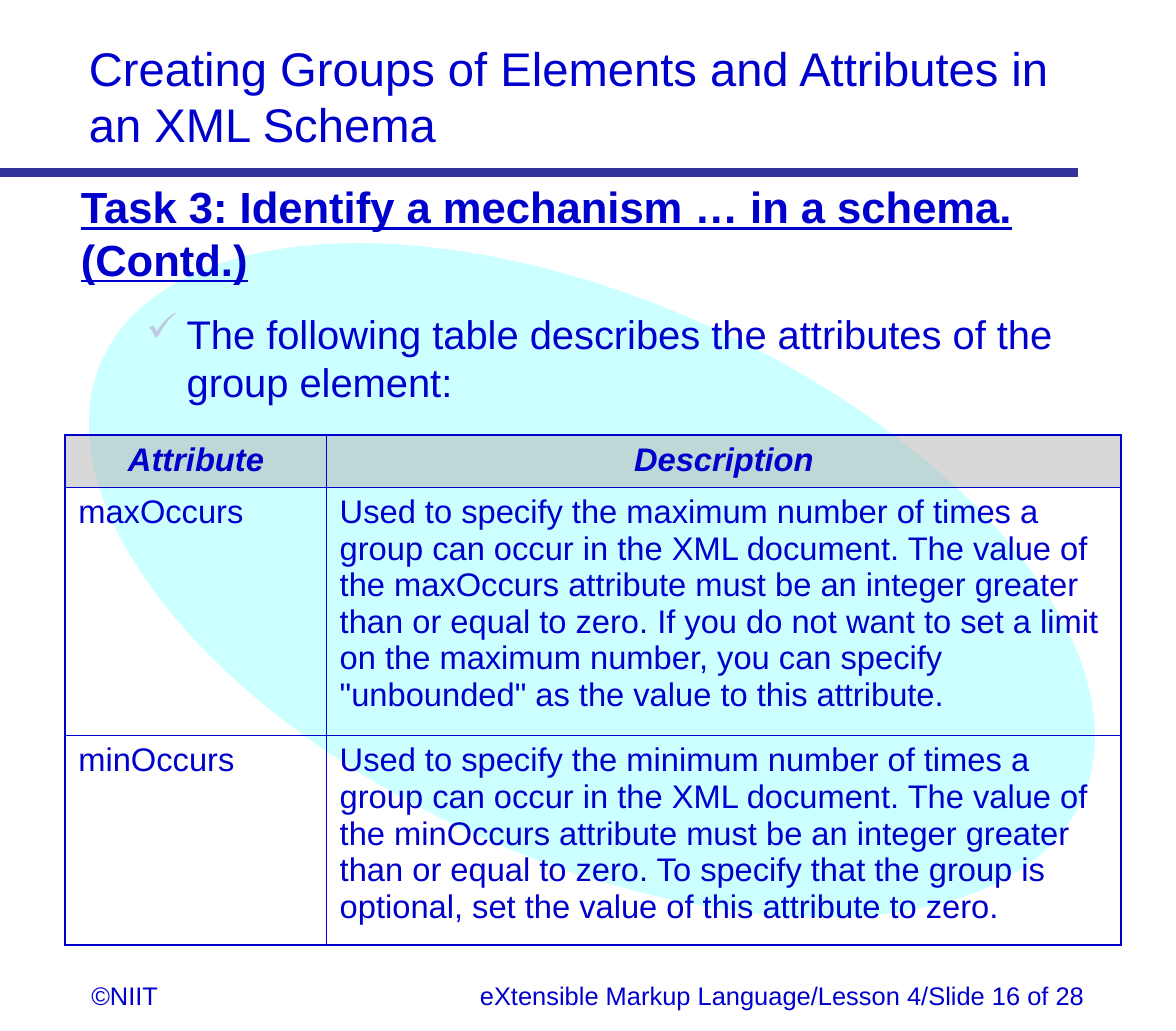
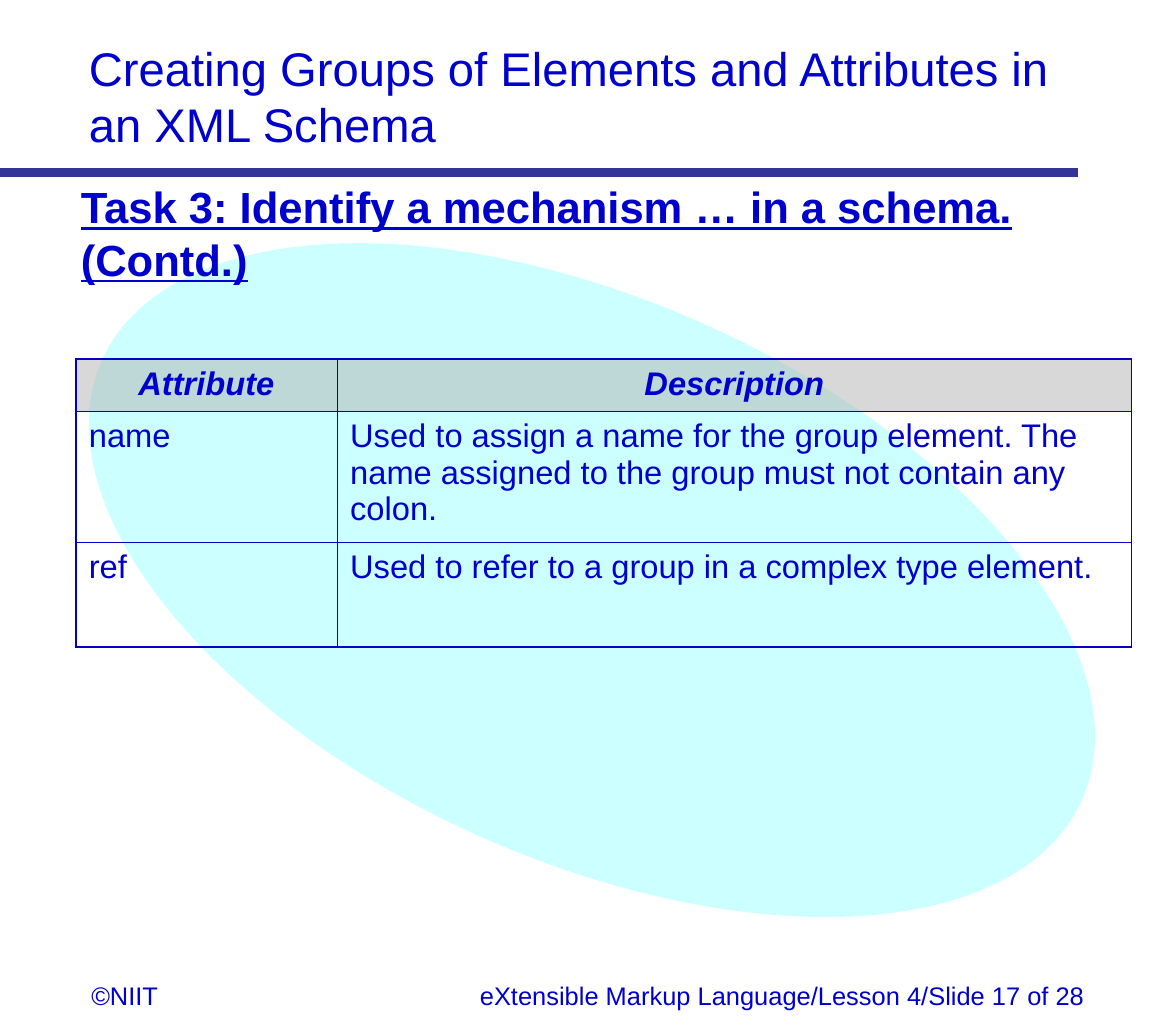
from dataclasses import dataclass

from lxml import etree
from pptx import Presentation
from pptx.dml.color import RGBColor
from pptx.enum.shapes import MSO_CONNECTOR, MSO_SHAPE
from pptx.enum.text import MSO_ANCHOR, MSO_AUTO_SIZE, PP_ALIGN
from pptx.oxml.ns import qn
from pptx.util import Inches, Pt

LEFT, MID, RIGHT = PP_ALIGN.LEFT, PP_ALIGN.CENTER, PP_ALIGN.RIGHT
TOP, FIXED = MSO_ANCHOR.TOP, MSO_AUTO_SIZE.NONE
OVAL, LINE = MSO_SHAPE.OVAL, MSO_CONNECTOR.STRAIGHT


@dataclass(frozen=True)
class Theme:
    font: str = "Arial"
    ink: str = "0000CC"
    rule: str = "333399"
    oval: str = "CCFFFF"
    head: str = "B2B2B2"
    tick: str = "BFCBE2"
    title: int = 26
    task: int = 24
    point: int = 22
    cell: int = 18
    foot: int = 14
    thick: float = 1.08
    thin: float = 0.45


T = Theme()


def grid(*units):
    """Turn grid units, ten to the inch, into lengths."""
    return [Inches(unit / 10) for unit in units]


def write(frame, text, size, align=LEFT, bold=False, italic=False,
          under=False, before=0, indent=None, bullet=None):
    """Put text in the frame's first paragraph, or add one if that is used."""
    para = frame.paragraphs[0]
    if para.runs:
        para = frame.add_paragraph()
    frame.word_wrap = True
    para.alignment = align
    para.space_before = Pt(before)
    props = para._p.get_or_add_pPr()
    if indent:
        left, first = grid(*indent)
        props.set("marL", str(left))
        props.set("indent", str(first))
    if bullet:
        color = etree.SubElement(props, qn("a:buClr"))
        etree.SubElement(color, qn("a:srgbClr"), val=T.tick)
        etree.SubElement(props, qn("a:buChar"), char=bullet)
    run = para.add_run()
    run.text = text
    font = run.font
    font.name, font.size = T.font, Pt(size)
    font.bold, font.italic, font.underline = bold, italic, under
    font.color.rgb = RGBColor.from_string(T.ink)


PAGES = [
    dict(number=16, at=(5, 33.3), rows=(4, 19, 16),
         point="The following table describes the attributes of the group element:",
         items=[
             ("maxOccurs",
              "Used to specify the maximum number of times a group can occur in "
              "the XML document. The value of the maxOccurs attribute must be an "
              "integer greater than or equal to zero. If you do not want to set a "
              "limit on the maximum number, you can specify \"unbounded\" as the "
              "value to this attribute."),
             ("minOccurs",
              "Used to specify the minimum number of times a group can occur in "
              "the XML document. The value of the minOccurs attribute must be an "
              "integer greater than or equal to zero. To specify that the group is "
              "optional, set the value of this attribute to zero."),
         ]),
    dict(number=17, at=(5.8, 27.5), rows=(4, 10, 8), point=None,
         items=[
             ("name",
              "Used to assign a name for the group element. The name assigned to "
              "the group must not contain any colon."),
             ("ref", "Used to refer to a group in a complex type element."),
         ]),
]
COLS = (20, 60.8)

deck = Presentation()
deck.slide_width, deck.slide_height = grid(90, 78.9)

for page in PAGES:
    slide = deck.slides.add_slide(deck.slide_layouts[5])
    shapes = slide.shapes

    # Shared backdrop, title, rule and footers
    oval = shapes.add_shape(OVAL, *grid(23.9, 3.3, 42.8, 82.2))
    oval.rotation = 294.2
    oval.shadow.inherit = False
    oval.fill.solid()
    oval.fill.fore_color.rgb = RGBColor.from_string(T.oval)
    oval.line.fill.background()

    title = shapes.title
    title.left, title.top, title.width, title.height = grid(5.8, 2.5, 78, 9.7)
    title.text_frame.auto_size = FIXED
    title.text_frame.vertical_anchor = TOP
    write(title.text_frame,
          "Creating Groups of Elements and Attributes in an XML Schema", T.title)

    footers = [
        ("©NIIT", (6, 74.5, 11.2, 3.4), LEFT),
        (f"eXtensible Markup Language/Lesson 4/Slide {page['number']} of 28",
         (31.5, 74.5, 52.5, 3.4), RIGHT),
    ]
    for text, box, align in footers:
        foot = shapes.add_textbox(*grid(*box))
        write(foot.text_frame, text, T.foot, align=align)

    rule = shapes.add_connector(LINE, *grid(0, 13.2, 82.5, 13.2))
    rule.line.color.rgb = RGBColor.from_string(T.rule)
    rule.line.width = Pt(5)
    etree.SubElement(rule._element.spPr, qn("a:effectLst"))

    # Task heading and lead-in
    body = shapes.add_textbox(*grid(5.2, 13.3, 79.5, 56.1)).text_frame
    for text in ("Task 3: Identify a mechanism … in a schema.", "(Contd.)"):
        write(body, text, T.task, bold=True, under=True, indent=(3.8, -3.8))
    if page["point"]:
        write(body, page["point"], T.point, before=13.8,
              indent=(8.1, -3.1), bullet="✓")

    # Attribute table
    rows = [("Attribute", "Description")] + page["items"]
    spot = grid(*page["at"], sum(COLS), sum(page["rows"]))
    table = shapes.add_table(len(rows), len(COLS), *spot).table
    table.horz_banding = table.first_row = False
    for col, width in zip(table.columns, grid(*COLS)):
        col.width = width
    for row, height in zip(table.rows, grid(*page["rows"])):
        row.height = height
    for r, row in enumerate(rows):
        for c, text in enumerate(row):
            cell = table.cell(r, c)
            cell.margin_left = cell.margin_right = Inches(0.1)
            head = r == 0
            write(cell.text_frame, text, T.cell, align=MID if head else LEFT,
                  bold=head, italic=head)
            props = cell._tc.get_or_add_tcPr()
            outer = {"L": c == 0, "R": c == len(COLS) - 1,
                     "T": head, "B": r == len(rows) - 1}
            for side, edge in outer.items():
                width = Pt(T.thick if edge else T.thin)
                line = etree.SubElement(props, qn(f"a:ln{side}"), w=str(width))
                fill = etree.SubElement(line, qn("a:solidFill"))
                etree.SubElement(fill, qn("a:srgbClr"), val=T.ink)
            if head:
                cell.fill.solid()
                cell.fill.fore_color.rgb = RGBColor.from_string(T.head)
                tint = props.find(qn("a:solidFill")).find(qn("a:srgbClr"))
                etree.SubElement(tint, qn("a:alpha"), val="50000")
            else:
                cell.fill.background()

deck.save("out.pptx")
